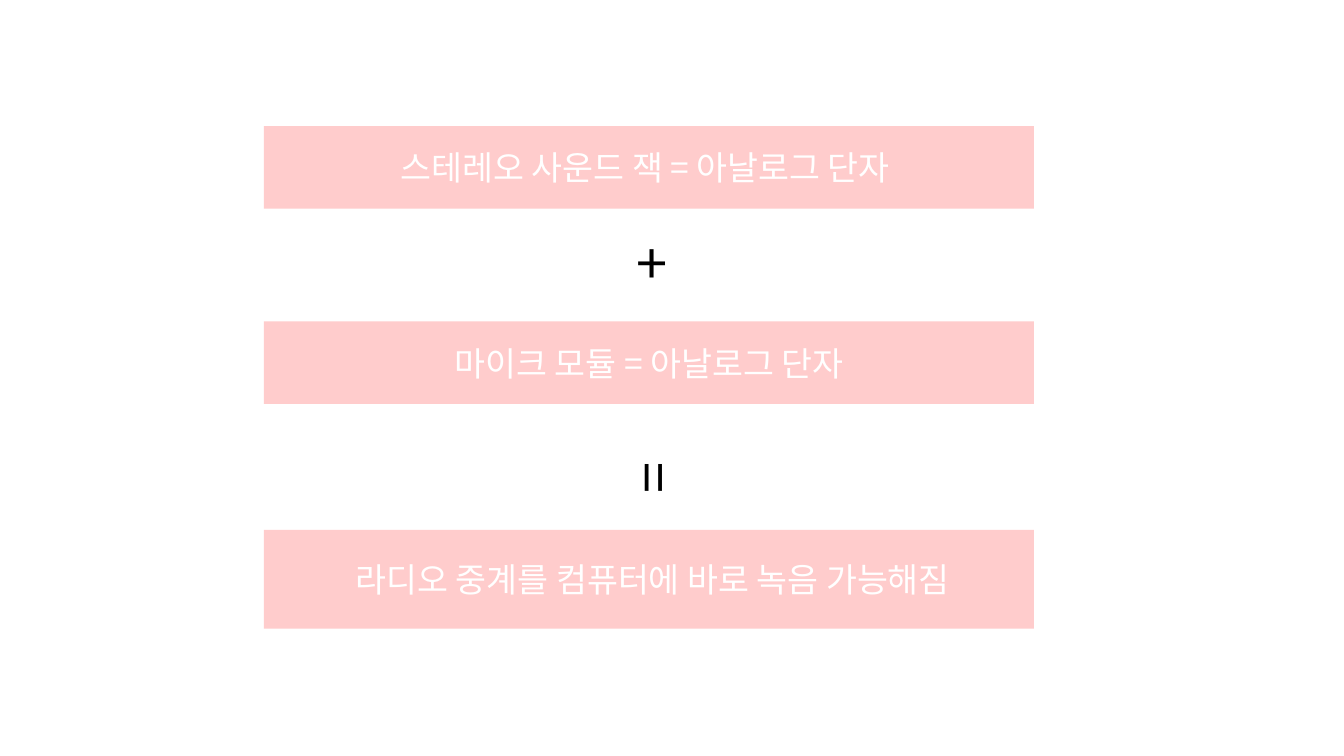
from dataclasses import dataclass

from lxml import etree
from pptx import Presentation
from pptx.dml.color import RGBColor
from pptx.enum.shapes import MSO_SHAPE
from pptx.enum.text import MSO_ANCHOR, MSO_AUTO_SIZE, PP_ALIGN
from pptx.oxml.ns import qn
from pptx.util import Pt

RECTANGLE = MSO_SHAPE.RECTANGLE
MIDDLE = MSO_ANCHOR.MIDDLE
GROW = MSO_AUTO_SIZE.SHAPE_TO_FIT_TEXT
CENTER, LEFT = PP_ALIGN.CENTER, PP_ALIGN.LEFT
BLANK_LAYOUT = 6


@dataclass(frozen=True)
class Theme:
    font: str = "Noto Sans CJK KR"
    bar_fill: RGBColor = RGBColor(0xFF, 0xCC, 0xCC)
    bar_text: RGBColor = RGBColor(0xFF, 0xFF, 0xFF)
    sign_text: RGBColor = RGBColor(0, 0, 0)
    bar_size: int = 24
    sign_size: int = 40


THEME = Theme()
BAR_LEFT, BAR_WIDTH = 188.5, 550
SIGN_WIDTH, SIGN_HEIGHT = 52.5, 55.5

# Top, height, wording
BARS = [
    (90, 59, "스테레오 사운드 잭 = 아날로그 단자 "),
    (229.5, 59, "마이크 모듈 = 아날로그 단자"),
    (378.5, 70.5, " 라디오 중계를 컴퓨터에 바로 녹음 가능해짐"),
]
# Left, top, rotation, sign
SIGNS = [(447.75, 160, 0, "+"), (440, 305.5, 270, "=")]


def add_span(para, text, size, color):
    span = para.add_run()
    span.text = text
    span.font.size = Pt(size)
    span.font.color.rgb = color
    span.font.name = THEME.font
    # Hangul takes the East Asian typeface
    east_asian = etree.SubElement(span.font._element, qn("a:ea"))
    east_asian.set("typeface", THEME.font)


def add_bar(page, top, height, text):
    bar = page.shapes.add_shape(
        RECTANGLE, Pt(BAR_LEFT), Pt(top), Pt(BAR_WIDTH), Pt(height))
    bar.shadow.inherit = False
    bar.fill.solid()
    bar.fill.fore_color.rgb = THEME.bar_fill
    bar.line.fill.background()
    bar.text_frame.word_wrap = True
    bar.text_frame.vertical_anchor = MIDDLE
    para = bar.text_frame.paragraphs[0]
    para.alignment = CENTER
    add_span(para, text, THEME.bar_size, THEME.bar_text)


def add_sign(page, left, top, rotation, text):
    box = page.shapes.add_textbox(
        Pt(left), Pt(top), Pt(SIGN_WIDTH), Pt(SIGN_HEIGHT))
    box.rotation = rotation
    box.text_frame.word_wrap = True
    box.text_frame.auto_size = GROW
    para = box.text_frame.paragraphs[0]
    para.alignment = LEFT
    add_span(para, text, THEME.sign_size, THEME.sign_text)


def main():
    deck = Presentation()
    deck.slide_width, deck.slide_height = Pt(960), Pt(540)
    page = deck.slides.add_slide(deck.slide_layouts[BLANK_LAYOUT])

    # Two parts and their result
    for bar in BARS:
        add_bar(page, *bar)

    # Signs between the bars
    for sign in SIGNS:
        add_sign(page, *sign)

    deck.save("out.pptx")


if __name__ == "__main__":
    main()
